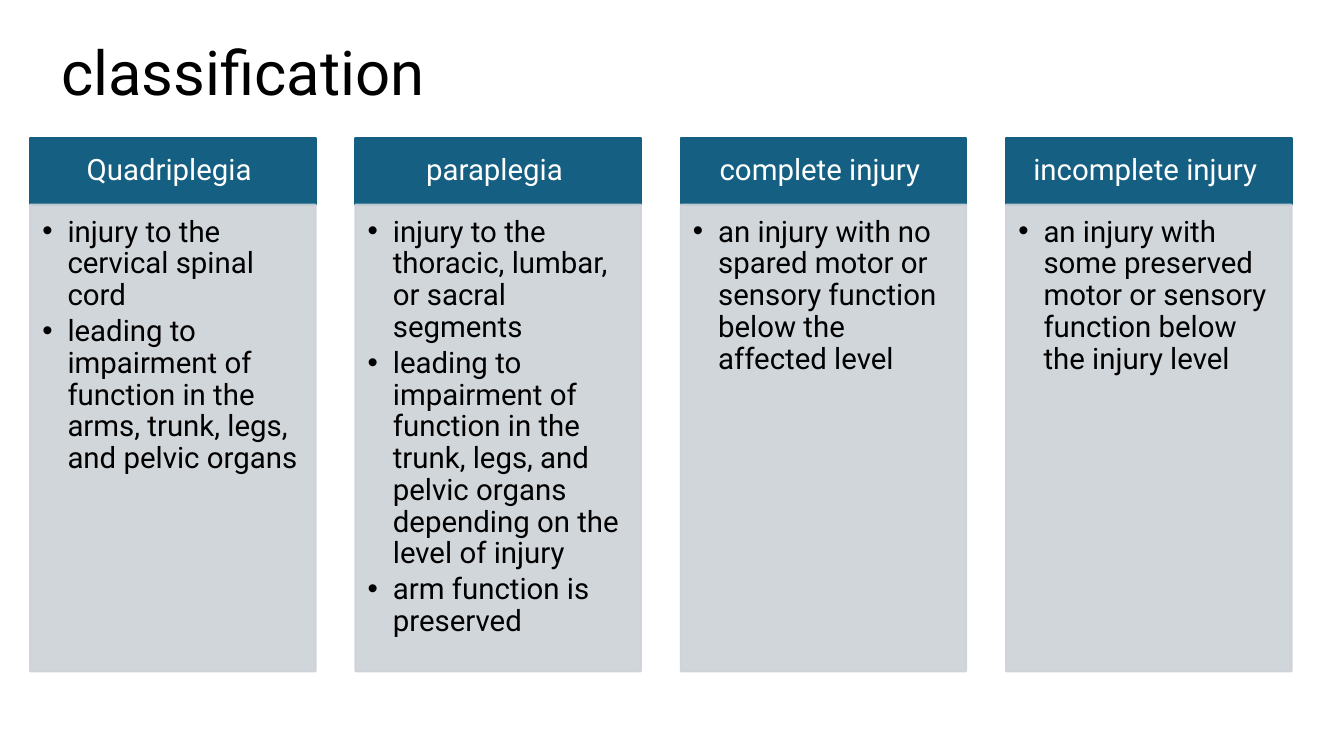
from dataclasses import dataclass
from typing import Any

from lxml.etree import SubElement
from pptx import Presentation
from pptx.dml.color import RGBColor
from pptx.enum.shapes import MSO_SHAPE
from pptx.enum.text import MSO_ANCHOR, PP_ALIGN
from pptx.oxml.ns import qn
from pptx.util import Inches, Pt

COLORS = {"head": "156082", "body": "CCD2D8", "dark": "000000", "light": "FFFFFF"}
FONT = "Roboto"
LEFT, LAST, WIDTH = 0.3, 9.98, 2.83
TOP, HEAD, BODY = 1.37, 0.66, 4.63


@dataclass
class Column:
    title: str
    points: list[str]


@dataclass
class Style:
    color: str
    size: int
    frame: dict[str, Any]
    para: dict[str, Any]
    bullet: bool = False


COLUMNS = [
    Column("Quadriplegia ", [
        "injury to the cervical spinal cord",
        "leading to impairment of function in the arms, trunk, legs, and pelvic organs",
    ]),
    Column("paraplegia ", [
        "injury to the thoracic, lumbar, or sacral segments",
        "leading to impairment of function in the trunk, legs, and pelvic organs "
        "depending on the level of injury",
        "arm function is preserved",
    ]),
    Column("complete injury ", [
        "an injury with no spared motor or sensory function below the affected level",
    ]),
    Column("incomplete injury ", [
        "an injury with some preserved motor or sensory function below the injury level",
    ]),
]

TITLE = Style(
    "dark", 44,
    {"word_wrap": True, "vertical_anchor": MSO_ANCHOR.MIDDLE},
    {"line_spacing": 0.9},
)
HEADER = Style(
    "light", 21,
    {"word_wrap": True, "vertical_anchor": MSO_ANCHOR.MIDDLE,
     "margin_left": Inches(0.16), "margin_right": Inches(0.16),
     "margin_top": Inches(0.09), "margin_bottom": Inches(0.09)},
    {"alignment": PP_ALIGN.CENTER, "line_spacing": 0.9},
)
LIST = Style(
    "dark", 21,
    {"word_wrap": True, "vertical_anchor": MSO_ANCHOR.TOP,
     "margin_left": Inches(0.12), "margin_right": Inches(0.16),
     "margin_top": Inches(0.12), "margin_bottom": Inches(0.18)},
    {"alignment": PP_ALIGN.LEFT, "line_spacing": 0.9, "space_after": Pt(3), "level": 1},
    bullet=True,
)


def apply(target: Any, values: dict[str, Any]) -> None:
    for name, value in values.items():
        setattr(target, name, value)


def add_bullet(para: Any) -> None:
    props = para._p.get_or_add_pPr()
    props.set("marL", str(Inches(0.25)))
    props.set("indent", str(-Inches(0.25)))
    SubElement(props, qn("a:buFont")).set("typeface", "Arial")
    SubElement(props, qn("a:buChar")).set("char", "•")


def write(shape: Any, lines: list[str], style: Style) -> None:
    frame = shape.text_frame
    apply(frame, style.frame)
    for i, line in enumerate(lines):
        para = frame.add_paragraph() if i else frame.paragraphs[0]
        if style.bullet:
            add_bullet(para)
        apply(para, style.para)
        run = para.add_run()
        run.text = line
        apply(run.font, {"name": FONT, "size": Pt(style.size)})
        run.font.color.rgb = RGBColor.from_string(COLORS[style.color])


def add_panel(slide: Any, left: float, top: float, height: float,
              color: str, alpha: int = 100) -> Any:
    panel = slide.shapes.add_shape(
        MSO_SHAPE.RECTANGLE, Inches(left), Inches(top), Inches(WIDTH), Inches(height))
    panel.shadow.inherit = False
    panel.fill.solid()
    panel.line.width = Pt(1.5)
    for paint in (panel.fill.fore_color, panel.line.color):
        paint.rgb = RGBColor.from_string(COLORS[color])
    if alpha < 100:
        for tint in panel._element.spPr.iter(qn("a:srgbClr")):
            SubElement(tint, qn("a:alpha")).set("val", str(alpha * 1000))
    return panel


def main() -> None:
    deck = Presentation()
    apply(deck, {"slide_width": Inches(13.33), "slide_height": Inches(7.5)})
    slide = deck.slides.add_slide(deck.slide_layouts[6])

    # Title
    title = slide.shapes.add_textbox(
        Inches(0.51), Inches(0.02), Inches(11.5), Inches(1.45))
    write(title, ["classification"], TITLE)

    # Evenly spaced columns: header over bullet list
    step = (LAST - LEFT) / (len(COLUMNS) - 1)
    for i, column in enumerate(COLUMNS):
        left = LEFT + i * step
        write(add_panel(slide, left, TOP, HEAD, "head"), [column.title], HEADER)
        body = add_panel(slide, left, TOP + HEAD, BODY, "body", 90)
        write(body, column.points, LIST)

    deck.save("out.pptx")


if __name__ == "__main__":
    main()
